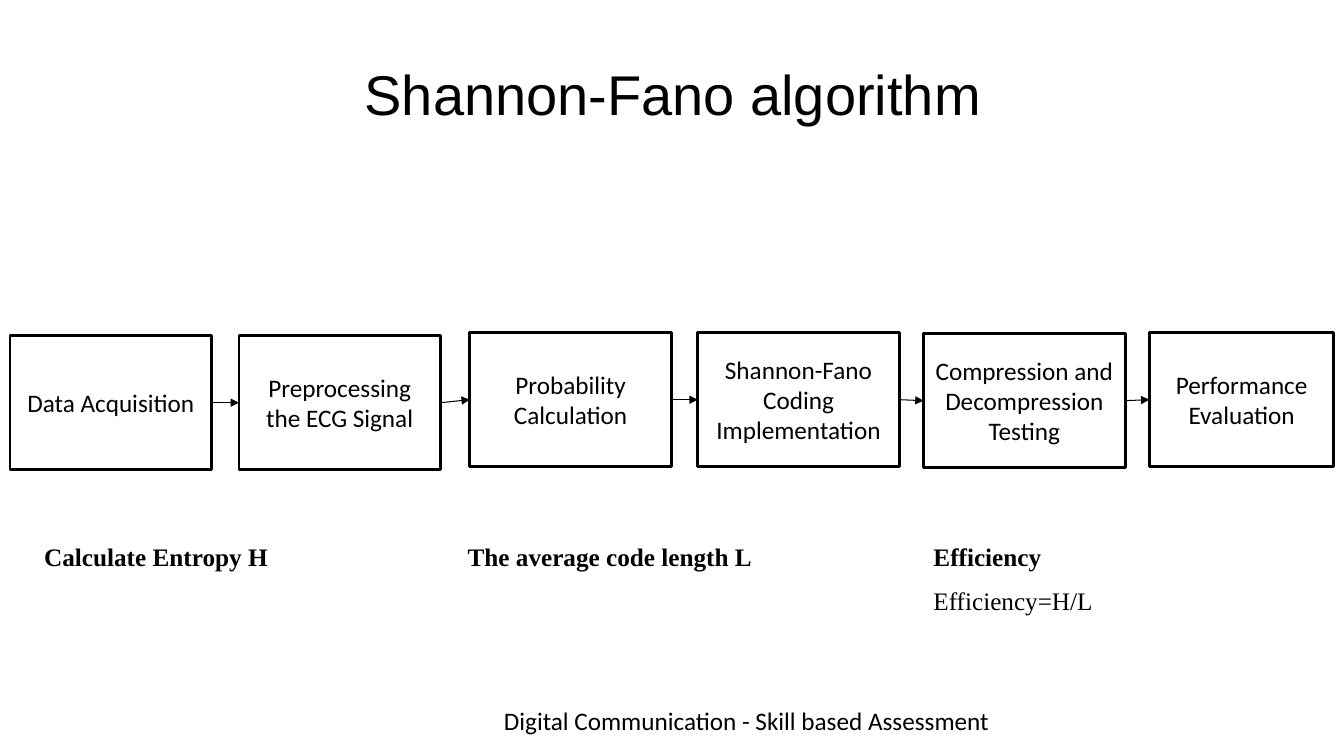
from lxml import etree
from pptx import Presentation
from pptx.dml.color import RGBColor
from pptx.enum.shapes import MSO_CONNECTOR, MSO_SHAPE
from pptx.enum.text import MSO_ANCHOR, PP_ALIGN
from pptx.oxml.ns import qn
from pptx.util import Inches, Pt

BLACK = RGBColor(0, 0, 0)
WHITE = RGBColor(255, 255, 255)
CENTER = PP_ALIGN.CENTER
LEFT = PP_ALIGN.LEFT
JUSTIFY = PP_ALIGN.JUSTIFY
MIDDLE = MSO_ANCHOR.MIDDLE
RECTANGLE = MSO_SHAPE.RECTANGLE
STRAIGHT = MSO_CONNECTOR.STRAIGHT
RIGHT_SIDE, LEFT_SIDE = 3, 1


def write_text(shape, text, font_name, size, alignment, bold=False):
    shape.text_frame.word_wrap = True
    paragraph = shape.text_frame.paragraphs[0]
    paragraph.text = text
    paragraph.alignment = alignment
    paragraph.font.name = font_name
    paragraph.font.size = Pt(size)
    paragraph.font.bold = bold
    paragraph.font.color.rgb = BLACK


presentation = Presentation()
presentation.slide_width = Inches(13.33)
presentation.slide_height = Inches(7.5)
slide = presentation.slides.add_slide(presentation.slide_layouts[5])

title = slide.shapes.title
title.left, title.top = Inches(0.67), Inches(0.3)
title.width, title.height = Inches(12), Inches(1.25)
title.text_frame.vertical_anchor = MIDDLE
write_text(title, "Shannon-Fano algorithm", "Arial", 40, CENTER)

steps = [
    ("Data Acquisition", 0.1, 3.33, 2),
    ("Preprocessing the ECG Signal", 2.37, 3.33, 2),
    ("Probability Calculation", 4.66, 3.3, 2),
    ("Shannon-Fano Coding Implementation", 6.92, 3.3, 2),
    ("Compression and Decompression Testing", 9.16, 3.31, 2),
    ("Performance Evaluation", 11.4, 3.3, 1.83),
]
boxes = []
for text, left, top, width in steps:
    box = slide.shapes.add_shape(
        RECTANGLE, Inches(left), Inches(top), Inches(width), Inches(1.33))
    box.shadow.inherit = False
    box.fill.solid()
    box.fill.fore_color.rgb = WHITE
    box.line.color.rgb = BLACK
    box.line.width = Pt(2)
    box.text_frame.vertical_anchor = MIDDLE
    write_text(box, text, "Calibri", 18, CENTER)
    boxes.append(box)

for source, target in zip(boxes, boxes[1:]):
    arrow = slide.shapes.add_connector(STRAIGHT, 0, 0, 0, 0)
    arrow.begin_connect(source, RIGHT_SIDE)
    arrow.end_connect(target, LEFT_SIDE)
    arrow.line.color.rgb = BLACK
    arrow.line.width = Pt(0.75)
    etree.SubElement(arrow.line._get_or_add_ln(), qn("a:tailEnd"), type="triangle")
    etree.SubElement(arrow._element.spPr, qn("a:effectLst"))

labels = [
    ("Calculate Entropy H", 0.34, 5.32, 4.05, "Times New Roman", JUSTIFY, True),
    ("The average code length L", 4.54, 5.32, 4.58, "Times New Roman", LEFT, True),
    ("Efficiency", 9.16, 5.32, 2.79, "Times New Roman", LEFT, True),
    ("Efficiency=H/L", 9.16, 5.76, 3.84, "Times New Roman", LEFT, False),
    ("Digital Communication - Skill based Assessment", 4.56, 6.95, 5.69, "Calibri", CENTER, False),
]
for text, left, top, width, font_name, alignment, bold in labels:
    label = slide.shapes.add_textbox(
        Inches(left), Inches(top), Inches(width), Inches(0.4))
    write_text(label, text, font_name, 18, alignment, bold)

presentation.save("out.pptx")
